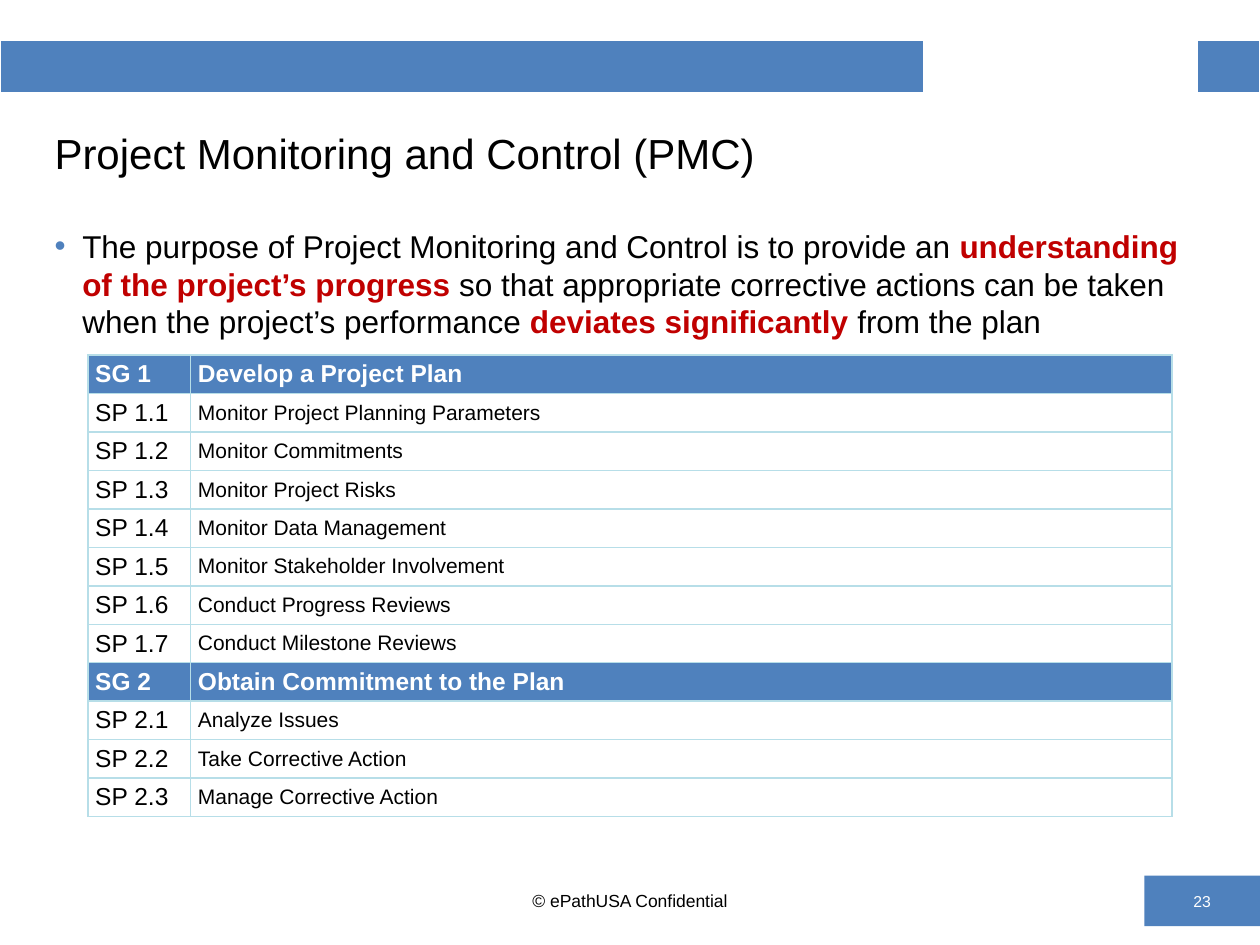
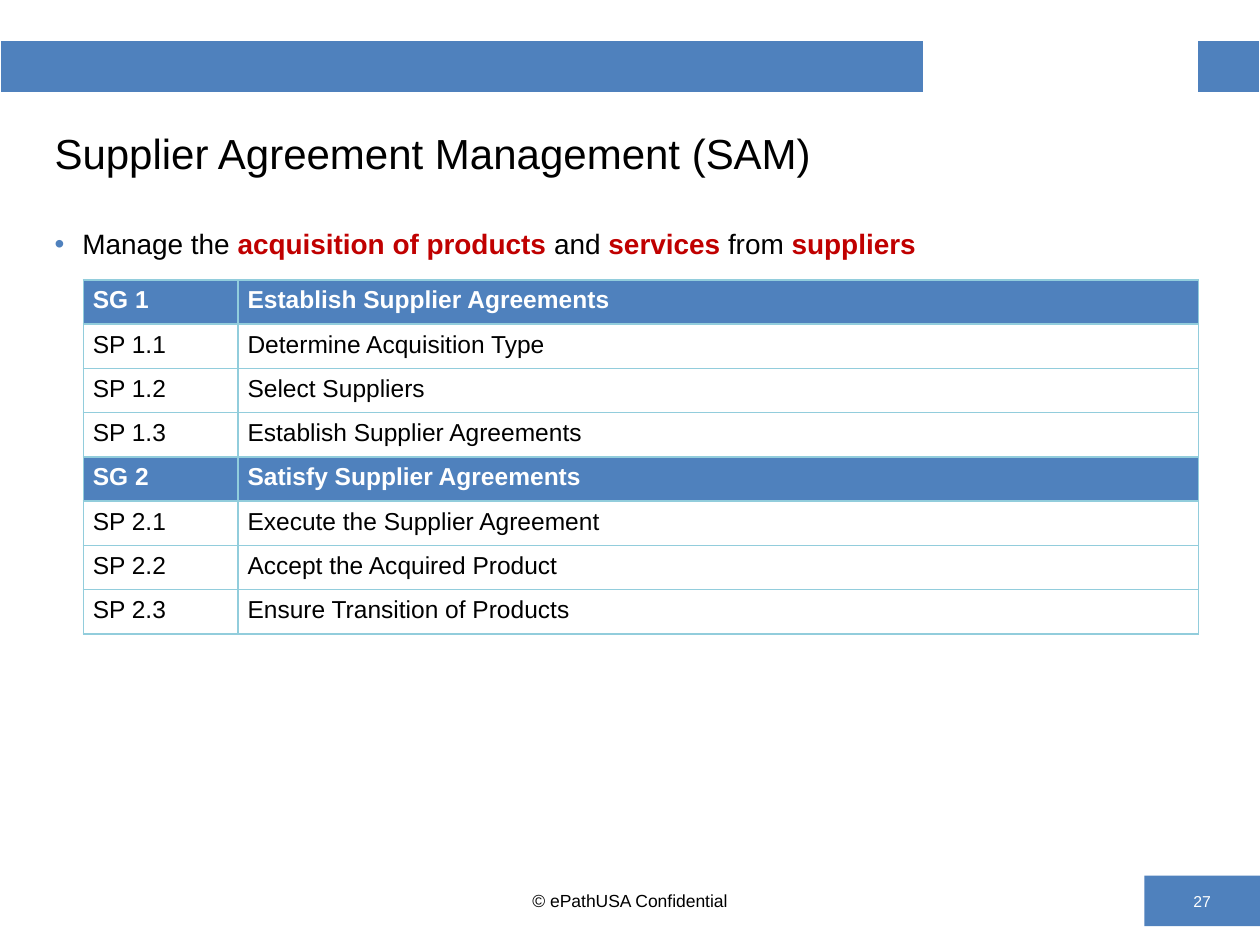
from dataclasses import dataclass

from lxml.etree import SubElement
from pptx import Presentation
from pptx.dml.color import RGBColor
from pptx.enum.shapes import MSO_SHAPE
from pptx.enum.text import MSO_ANCHOR, PP_ALIGN
from pptx.oxml import parse_xml
from pptx.oxml.ns import nsdecls, qn
from pptx.util import Cm, Pt

BLUE = RGBColor(0x4F, 0x81, 0xBD)
RED = RGBColor(0xC0, 0x00, 0x00)
BLACK = RGBColor(0x00, 0x00, 0x00)
WHITE = RGBColor(0xFF, 0xFF, 0xFF)
PALE_AQUA = RGBColor(0xB7, 0xDE, 0xE8)
AQUA = RGBColor(0x92, 0xCD, 0xDC)
FONT = "Arial"
FOOTER = "© ePathUSA Confidential"

BAND_BOX = (0, 0.81, 25.4, 1.09)
BAND_WIDTHS = (18.62, 5.51, 1.27)
TITLE_BOX = (0.85, 2.16, 23.7, 1.85)
BODY_BOX = (0.85, 4.45, 23.7, 12.93)
FOOTER_BOX = (8.68, 17.65, 8.04, 1.02)
NUMBER_BOX = (23.07, 17.65, 2.33, 1.02)


@dataclass
class GoalTableStyle:
    """Look of a table of goals and practices."""

    border: RGBColor
    widths: tuple
    practice_sizes: tuple
    insets: tuple
    anchor: MSO_ANCHOR
    line_spacing: float


COMPACT = GoalTableStyle(PALE_AQUA, (2.07, 19.79), (14, 12), (0.15, 0.08), MSO_ANCHOR.MIDDLE, 1.0)
ROOMY = GoalTableStyle(AQUA, (3.12, 19.36), (14, 14), (0.19, 0.1), MSO_ANCHOR.TOP, 1.07)


def lengths(box):
    """Turn a box in centimetres into lengths."""
    return [Cm(value) for value in box]


def set_font(font, size, color=None, bold=None):
    """Give a font its face, size, colour and weight."""
    font.name, font.size, font.bold = FONT, Pt(size), bold
    if color is not None:
        font.color.rgb = color


def write_line(frame, text, size, color=BLACK, align=PP_ALIGN.LEFT, bold=False):
    """Write a single paragraph in one font and return it."""
    paragraph = frame.paragraphs[0]
    paragraph.text, paragraph.alignment = text, align
    set_font(paragraph.font, size, color, bold)
    return paragraph


def add_text_box(slide, box, anchor):
    """Add a wrapping text box and return its frame."""
    frame = slide.shapes.add_textbox(*lengths(box)).text_frame
    frame.word_wrap, frame.vertical_anchor = True, anchor
    return frame


def add_plain_table(slide, box, widths, row_count):
    """Add an unbanded table with equal rows and return it."""
    table = slide.shapes.add_table(row_count, len(widths), *lengths(box)).table
    table.first_row = table.horz_banding = False
    for column, width in zip(table.columns, widths):
        column.width = Cm(width)
    for row in table.rows:
        row.height = Cm(box[3] / row_count)
    return table


def set_borders(cell, color, bottom_width=1):
    """Draw the four borders of a cell."""
    properties = cell._tc.get_or_add_tcPr()
    for position, side in enumerate("LRTB"):
        width = Pt(bottom_width if side == "B" else 1)
        properties.insert(position, parse_xml(
            f'<a:ln{side} {nsdecls("a")} w="{width}"><a:solidFill>'
            f'<a:srgbClr val="{color}"/></a:solidFill></a:ln{side}>'))


def fill_cell(cell, color):
    """Fill a cell with one colour."""
    cell.fill.solid()
    cell.fill.fore_color.rgb = color


def add_band(slide):
    """Add the split band across the top."""
    table = add_plain_table(slide, BAND_BOX, BAND_WIDTHS, 1)
    for cell, color in zip(table.rows[0].cells, (BLUE, WHITE, BLUE)):
        fill_cell(cell, color)
        set_borders(cell, WHITE, bottom_width=3)


def add_footer(slide, number):
    """Add the copyright line and the slide number block."""
    block = slide.shapes.add_shape(MSO_SHAPE.RECTANGLE, *lengths(NUMBER_BOX))
    block.shadow.inherit = False
    block.fill.solid()
    block.fill.fore_color.rgb = BLUE
    block.line.fill.background()
    block.text_frame.vertical_anchor = MSO_ANCHOR.MIDDLE
    write_line(block.text_frame, str(number), 9, WHITE, PP_ALIGN.CENTER)
    frame = add_text_box(slide, FOOTER_BOX, MSO_ANCHOR.MIDDLE)
    write_line(frame, FOOTER, 10, align=PP_ALIGN.CENTER)


def add_purpose(slide, parts, size):
    """Add the bulleted purpose, every second part being stressed."""
    paragraph = add_text_box(slide, BODY_BOX, MSO_ANCHOR.TOP).paragraphs[0]
    properties = paragraph._p.get_or_add_pPr()
    properties.set("marL", str(Cm(0.56)))
    properties.set("indent", str(-Cm(0.56)))
    bullet_color = SubElement(properties, qn("a:buClr"))
    SubElement(bullet_color, qn("a:srgbClr"), val=str(BLUE))
    SubElement(properties, qn("a:buFont"), typeface=FONT)
    SubElement(properties, qn("a:buChar"), char="•")
    set_font(paragraph.font, size)
    for index, part in enumerate(parts):
        stressed = index % 2 == 1
        run = paragraph.add_run()
        run.text = part
        run.font.bold = stressed
        run.font.color.rgb = RED if stressed else BLACK


def add_goal_table(slide, left, top, height, goals, style):
    """Add a table with a heading row for each goal and a row for each practice."""
    rows = []
    for goal_number, (goal, practices) in enumerate(goals.items(), 1):
        rows.append((f"SG {goal_number}", goal, True))
        rows += [(f"SP {goal_number}.{number}", practice, False)
                 for number, practice in enumerate(practices, 1)]
    box = (left, top, sum(style.widths), height)
    table = add_plain_table(slide, box, style.widths, len(rows))
    for row, (code, name, is_goal) in zip(table.rows, rows):
        sizes = (14, 14) if is_goal else style.practice_sizes
        for cell, text, size in zip(row.cells, (code, name), sizes):
            cell.margin_left = cell.margin_right = Cm(style.insets[0])
            cell.margin_top = cell.margin_bottom = Cm(style.insets[1])
            cell.vertical_anchor = style.anchor
            fill_cell(cell, BLUE if is_goal else WHITE)
            set_borders(cell, style.border)
            paragraph = write_line(cell.text_frame, text, size,
                                   WHITE if is_goal else BLACK, bold=is_goal)
            paragraph.line_spacing = style.line_spacing


def add_process_slide(presentation, number, title, purpose, purpose_size):
    """Add a slide with band, title, purpose and footer."""
    slide = presentation.slides.add_slide(presentation.slide_layouts[6])
    add_band(slide)
    write_line(add_text_box(slide, TITLE_BOX, MSO_ANCHOR.MIDDLE), title, 24)
    add_purpose(slide, purpose, purpose_size)
    add_footer(slide, number)
    return slide


def main():
    """Build and save the presentation."""
    presentation = Presentation()
    presentation.slide_width, presentation.slide_height = Cm(25.4), Cm(19.05)

    monitoring = add_process_slide(
        presentation, 23, "Project Monitoring and Control (PMC)",
        ("The purpose of Project Monitoring and Control is to provide an ",
         "understanding of the project’s progress ",
         "so that appropriate corrective actions can be taken when the project’s performance ",
         "deviates significantly ", "from the plan"), 18)
    add_goal_table(monitoring, 1.77, 7.16, 9.3, {
        "Develop a Project Plan": (
            "Monitor Project Planning Parameters", "Monitor Commitments",
            "Monitor Project Risks", "Monitor Data Management",
            "Monitor Stakeholder Involvement", "Conduct Progress Reviews",
            "Conduct Milestone Reviews"),
        "Obtain Commitment to the Plan": (
            "Analyze Issues", "Take Corrective Action", "Manage Corrective Action"),
    }, COMPACT)

    supplier = add_process_slide(
        presentation, 27, "Supplier Agreement Management (SAM)",
        ("Manage the ", "acquisition of products ", "and ", "services", " from ", "suppliers"), 16)
    add_goal_table(supplier, 1.68, 5.64, 7.14, {
        "Establish Supplier Agreements": (
            "Determine Acquisition Type", "Select Suppliers", "Establish Supplier Agreements"),
        "Satisfy Supplier Agreements": (
            "Execute the Supplier Agreement", "Accept the Acquired Product",
            "Ensure Transition of Products"),
    }, ROOMY)

    presentation.save("out.pptx")


if __name__ == "__main__":
    main()
